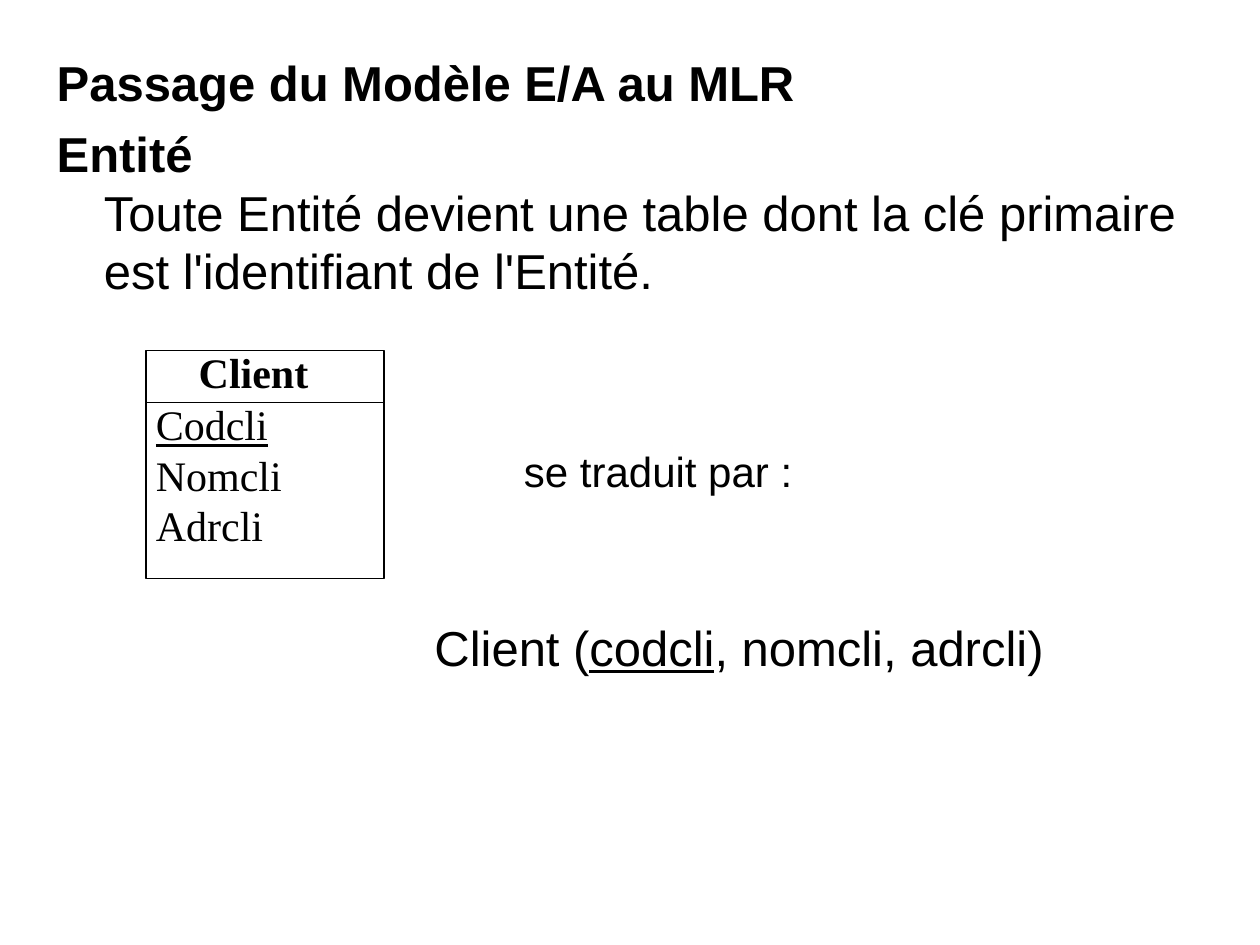
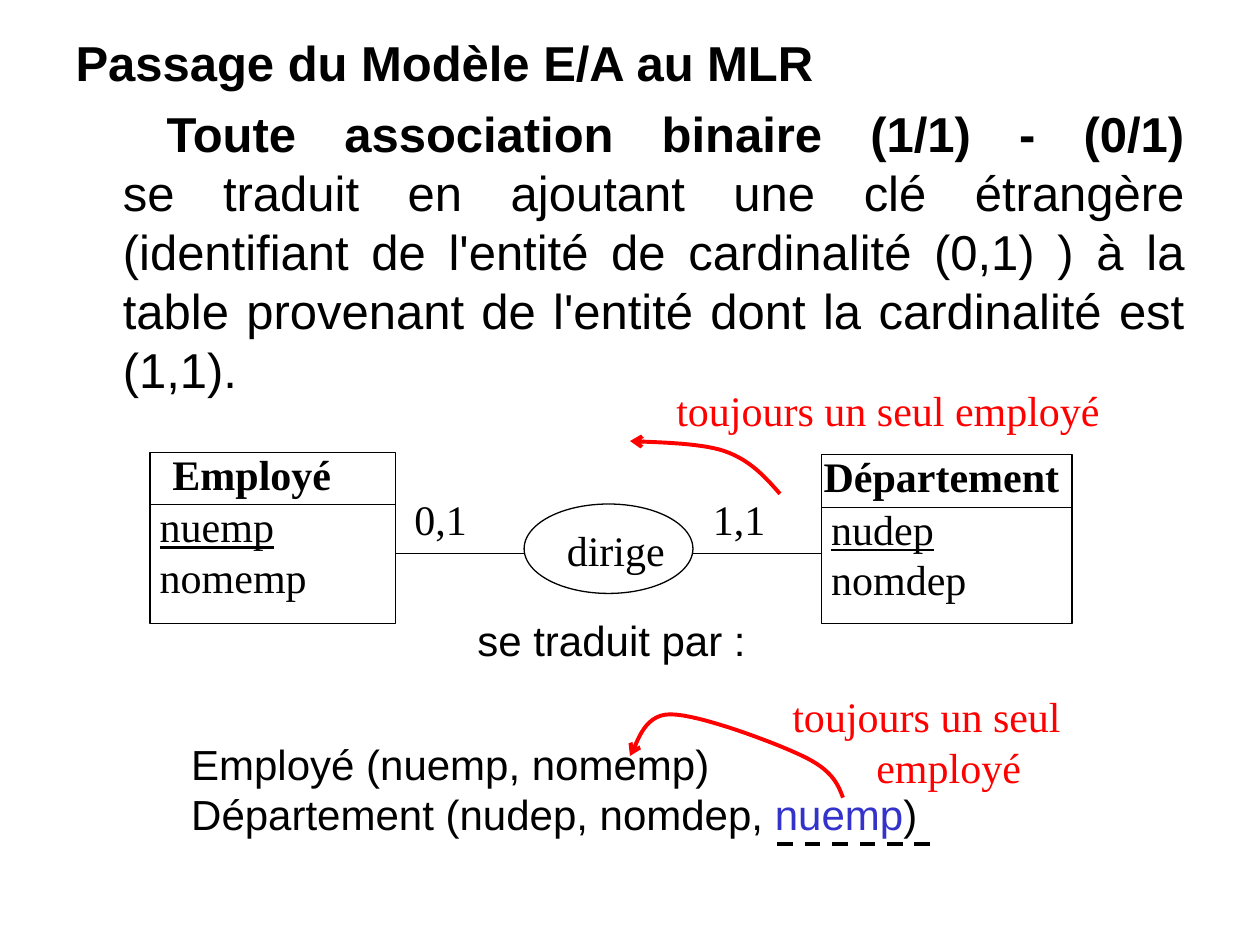
from lxml import etree
from pptx import Presentation
from pptx import util as u
from pptx.dml.color import RGBColor
from pptx.enum import dml, shapes, text
from pptx.oxml.ns import qn

BLACK, WHITE, RED, BLUE = "000000", "FFFFFF", "FF0000", "3333CC"
SANS, SERIF = "Arial", "Times New Roman"
TITLE = "Passage du Modèle E/A au MLR"
TITLE_SIZE, LABEL_SIZE = 28, 24
TITLE_STEP = 40.6  # one title line and the gap below it
UNDERLINED = {"underline": True}


def color(hex_string):
    return RGBColor.from_string(hex_string)


def box(left, top, width, height):
    return [u.Pt(value) for value in (left, top, width, height)]


def set_font(font, name, size, hex_string=BLACK, bold=False):
    font.name, font.size, font.bold = name, u.Pt(size), bold
    font.color.rgb = color(hex_string)


def set_indent(paragraph, margin, first_line=0):
    properties = paragraph._p.get_or_add_pPr()
    properties.set("marL", str(u.Pt(margin)))
    properties.set("indent", str(u.Pt(first_line)))


def add_heading(slide, left, top, width):
    title = slide.shapes.title
    title.left, title.top, title.width, title.height = box(left, top, width, TITLE_STEP)
    frame = title.text_frame
    frame.text = TITLE
    frame.auto_size = text.MSO_AUTO_SIZE.NONE
    frame.vertical_anchor = text.MSO_ANCHOR.TOP
    paragraph = frame.paragraphs[0]
    paragraph.alignment = text.PP_ALIGN.LEFT
    set_font(paragraph.font, SANS, TITLE_SIZE, bold=True)


def add_rule_text(slide, left, top, width, height, lead, rule, first_line, alignment):
    """Fill the body with a bold lead line and the rule that follows it."""
    body = slide.placeholders[1]
    body.left, body.top, body.width, body.height = box(left, top, width, height)
    frame = body.text_frame
    frame.auto_size = text.MSO_AUTO_SIZE.NONE
    paragraph = frame.paragraphs[0]
    paragraph.alignment = alignment
    paragraph.space_before = u.Pt(0)
    set_indent(paragraph, 27, first_line)
    etree.SubElement(paragraph._p.get_or_add_pPr(), qn("a:buNone"))
    set_font(paragraph.font, SANS, TITLE_SIZE)
    lead_run = paragraph.add_run()
    lead_run.text = lead
    lead_run.font.bold = True
    paragraph.add_line_break()
    paragraph.add_run().text = rule


def add_label(slide, left, top, width, height, lines, font=SERIF, size=LABEL_SIZE,
              hex_string=BLACK, bold=False, wrap=False):
    """Each line is a list of (text, run style) pairs."""
    frame = slide.shapes.add_textbox(*box(left, top, width, height)).text_frame
    frame.word_wrap = wrap
    frame.auto_size = text.MSO_AUTO_SIZE.SHAPE_TO_FIT_TEXT
    for index, line in enumerate(lines):
        paragraph = frame.add_paragraph() if index else frame.paragraphs[0]
        set_font(paragraph.font, font, size, hex_string, bold)
        for words, style in line:
            run = paragraph.add_run()
            run.text = words
            run.font.underline = style.get("underline")
            if "color" in style:
                run.font.color.rgb = color(style["color"])
    return frame


def add_outline(slide, kind, left, top, width, height):
    shape = slide.shapes.add_shape(kind, *box(left, top, width, height))
    shape.shadow.inherit = False
    shape.fill.solid()
    shape.fill.fore_color.rgb = color(WHITE)
    shape.line.color.rgb = color(BLACK)
    shape.line.width = u.Pt(0.75)


def add_line(slide, left, right, y, weight=0.75, dash=None):
    line = slide.shapes.add_connector(shapes.MSO_CONNECTOR.STRAIGHT,
                                      u.Pt(left), u.Pt(y), u.Pt(right), u.Pt(y))
    line.line.color.rgb = color(BLACK)
    line.line.width = u.Pt(weight)
    if dash:
        line.line.dash_style = dash
    etree.SubElement(line._element.spPr, qn("a:effectLst"))


def add_entity(slide, name, attributes, left, top, width, height, name_shift, name_width):
    """Draw an entity box; the first attribute is its identifier."""
    add_outline(slide, shapes.MSO_SHAPE.RECTANGLE, left, top, width, height)
    add_label(slide, left + name_shift, top - 6, name_width, 36, [[(name, {})]], bold=True)
    add_line(slide, left, left + width, top + 30)
    lines = [[(attribute, {} if index else UNDERLINED)]
             for index, attribute in enumerate(attributes)]
    add_label(slide, left - 1.5, top + 24.2, width, 7.2 + 28.8 * len(lines), lines,
              wrap=True)


def bezier(points, t):
    while len(points) > 1:
        points = [tuple(a + (b - a) * t for a, b in zip(p, q))
                  for p, q in zip(points, points[1:])]
    return points[0]


def add_curved_arrow(slide, points, steps=16):
    """Chain cubic curves through every third point, with an arrowhead at the end."""
    curve = [bezier(points[start:start + 4], step / steps)
             for start in range(0, len(points) - 1, 3) for step in range(1, steps + 1)]
    builder = slide.shapes.build_freeform(*(u.Pt(value) for value in points[0]))
    builder.add_line_segments([(u.Pt(x), u.Pt(y)) for x, y in curve], close=False)
    arrow = builder.convert_to_shape()
    arrow.shadow.inherit = False
    arrow.fill.background()
    arrow.line.color.rgb = color(RED)
    arrow.line.width = u.Pt(2.25)
    etree.SubElement(arrow.line._get_or_add_ln(), qn("a:tailEnd"), type="arrow")


def build_entity_slide(slide):
    add_heading(slide, 25.2, 26.2, 663)
    add_rule_text(slide, 25.2, 26.2 + TITLE_STEP, 663, 413, "Entité",
                  "Toute Entité devient une table dont la clé primaire est "
                  "l'identifiant de l'Entité.", -27, text.PP_ALIGN.LEFT)
    add_entity(slide, "Client", ["Codcli", "Nomcli", "Adrcli"],
               83.5, 200.2, 136, 130.3, 23, 77)
    add_label(slide, 292.3, 251.3, 167.8, 36, [[("se traduit par :", {})]], SANS)
    add_label(slide, 241.2, 349.2, 362.2, 41,
              [[("Client (", {}), ("codcli", UNDERLINED), (", nomcli, adrcli)", {})]],
              SANS, TITLE_SIZE)


def build_association_slide(slide):
    add_heading(slide, 36, 15.1, 648)
    add_rule_text(slide, 36, 15.1 + TITLE_STEP, 648, 470,
                  "Toute association binaire (1/1) - (0/1)",
                  "se traduit en ajoutant une clé étrangère (identifiant de l'entité de "
                  "cardinalité (0,1) ) à la table provenant de l'entité dont la "
                  "cardinalité est (1,1).", 25, text.PP_ALIGN.JUSTIFY)

    add_outline(slide, shapes.MSO_SHAPE.OVAL, 299.5, 288, 96.5, 51.1)
    add_entity(slide, "Employé", ["nuemp", "nomemp"], 85.7, 258.5, 140.4, 97.9, 5.8, 105)
    add_entity(slide, "Département", ["nudep", "nomdep"],
               469.4, 259.9, 143.3, 96.5, -5.8, 149)
    add_line(slide, 226.1, 299.5, 316.1)
    add_line(slide, 396, 469.4, 316.1)
    add_label(slide, 316.8, 295.9, 78, 36, [[("dirige", {})]], wrap=True)
    for cardinality, left in (("0,1", 229.7), ("1,1", 400.3)):
        add_label(slide, left, 278.2, 64, 36, [[(cardinality, {})]], wrap=True)

    add_label(slide, 265.7, 347.8, 167.8, 36, [[("se traduit par :", {})]], SANS)
    add_label(slide, 102.2, 418.3, 429.1, 64.8,
              [[("Employé (nuemp, nomemp)", {})],
               [("Département (nudep, nomdep, ", {}), ("nuemp", {"color": BLUE}), (")", {})]],
              SANS)
    add_line(slide, 444.2, 531.4, 482.4, 2.25, dml.MSO_LINE.DASH)

    add_curved_arrow(slide, [(445.7, 282.2), (437, 272.2), (428.4, 262.8), (414, 257.8),
                             (399.6, 252.7), (369.4, 252.7), (360, 252)])
    add_label(slide, 379.4, 216, 256.3, 36, [[("toujours un seul employé", {})]],
              hex_string=RED)
    add_curved_arrow(slide, [(481.7, 455.8), (478.8, 447.8), (475.2, 439.9), (458.6, 432),
                             (442.1, 424.1), (399.6, 408.2), (383, 408.2),
                             (366.5, 408.2), (363.6, 427.7), (360, 432)])
    note = add_label(slide, 445.7, 391.3, 203, 64.8,
                     [[("toujours un seul", {})], [("employé", {})]],
                     hex_string=RED, wrap=True)
    set_indent(note.paragraphs[1], 48)


def main():
    presentation = Presentation()
    presentation.slide_width, presentation.slide_height = u.Pt(720), u.Pt(540)
    layout = presentation.slide_layouts[1]
    for build in (build_entity_slide, build_association_slide):
        build(presentation.slides.add_slide(layout))
    presentation.save("out.pptx")


if __name__ == "__main__":
    main()
